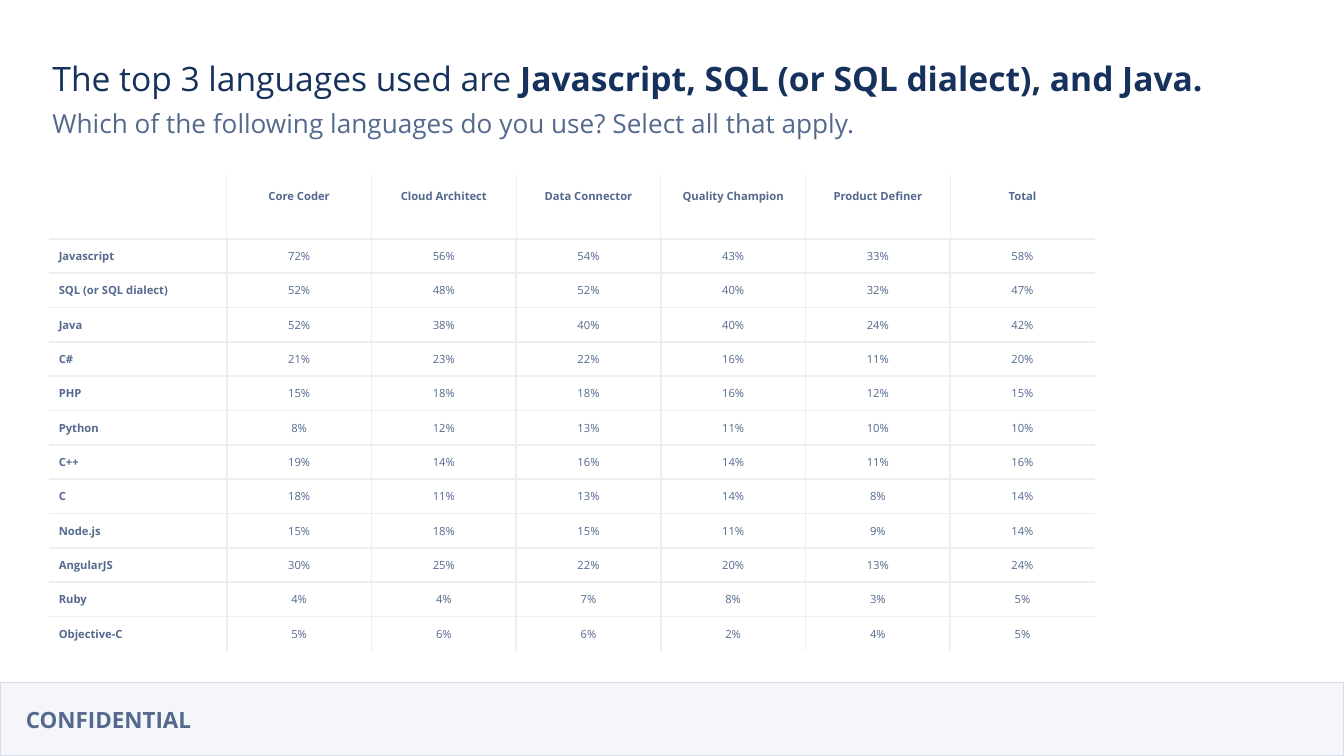
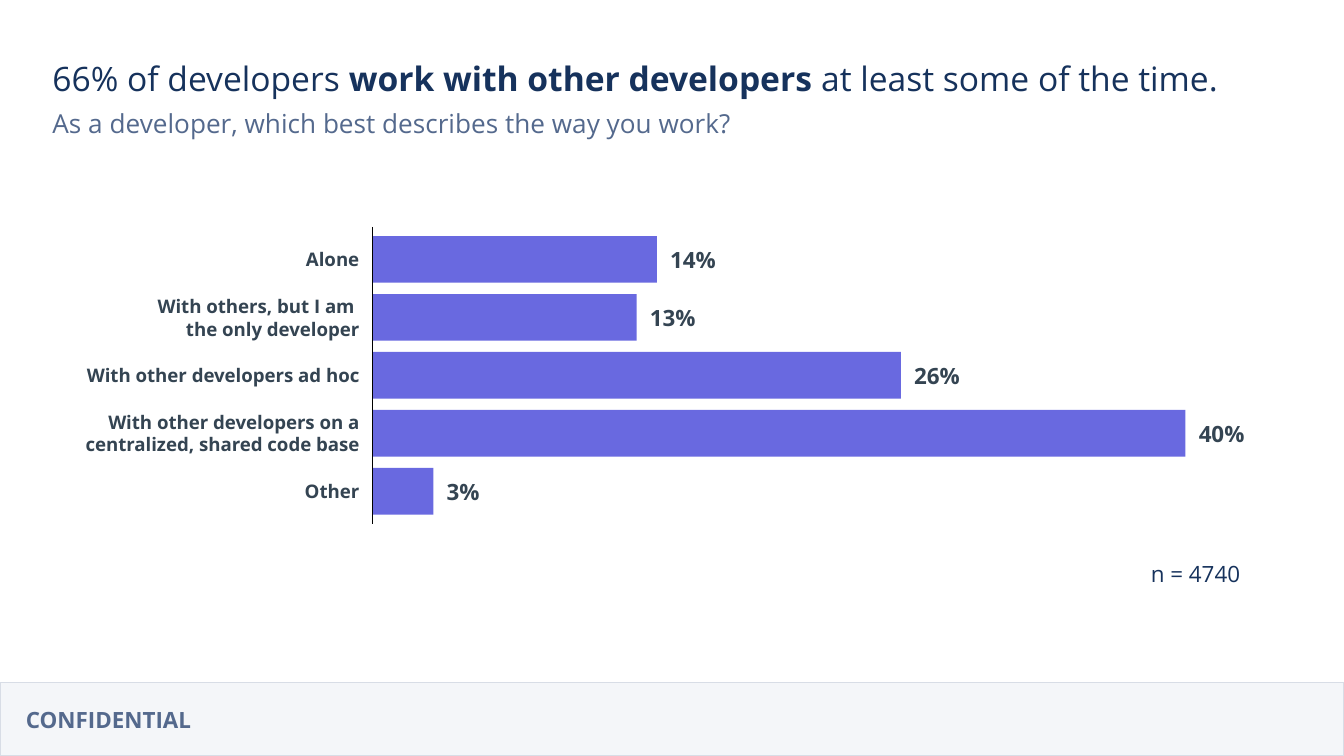
from lxml.etree import SubElement
from pptx import Presentation
from pptx.dml.color import RGBColor
from pptx.enum.shapes import MSO_CONNECTOR, MSO_SHAPE
from pptx.enum.text import MSO_ANCHOR, PP_ALIGN
from pptx.oxml.ns import qn
from pptx.util import Pt

NAVY, SLATE, INK = "16325C", "54698D", "344452"
VIOLET, BAND, EDGE, GRID, BLACK = "6969E0", "F4F6F9", "D8DDE6", "EEEEEE", "000000"
W, H = 720, 405
TOP, MIDDLE = MSO_ANCHOR.TOP, MSO_ANCHOR.MIDDLE
LEFT, CENTER, RIGHT = PP_ALIGN.LEFT, PP_ALIGN.CENTER, PP_ALIGN.RIGHT

ROLES = ["Core Coder", "Cloud Architect", "Data Connector",
         "Quality Champion", "Product Definer", "Total"]
LANGUAGES = [
    ("Javascript", 72, 56, 54, 43, 33, 58),
    ("SQL (or SQL dialect)", 52, 48, 52, 40, 32, 47),
    ("Java", 52, 38, 40, 40, 24, 42),
    ("C#", 21, 23, 22, 16, 11, 20),
    ("PHP", 15, 18, 18, 16, 12, 15),
    ("Python", 8, 12, 13, 11, 10, 10),
    ("C++", 19, 14, 16, 14, 11, 16),
    ("C", 18, 11, 13, 14, 8, 14),
    ("Node.js", 15, 18, 15, 11, 9, 14),
    ("AngularJS", 30, 25, 22, 20, 13, 24),
    ("Ruby", 4, 4, 7, 8, 3, 5),
    ("Objective-C", 5, 6, 6, 2, 4, 5),
]
WORK_STYLES = [
    ("Alone", 14),
    ("With others, but I am \nthe only developer", 13),
    ("With other developers ad hoc", 26),
    ("With other developers on a centralized, shared code base", 40),
    ("Other", 3),
]


def rgb(color):
    """Turn a hex string into a colour."""
    return RGBColor.from_string(color)


def write(tf, text, size=12, color=SLATE, bold=False, align=LEFT, spacing=None):
    """Fill a text frame with a string or a list of (text, bold) runs."""
    p = tf.paragraphs[0]
    p.alignment = align
    if spacing:
        p.line_spacing = spacing
    p.font.size = Pt(size)
    for part, heavy in [(text, bold)] if isinstance(text, str) else text:
        for i, line in enumerate(part.split("\n")):
            if i:
                p.add_line_break()
            r = p.add_run()
            r.text = line
            r.font.name = "Open Sans"
            r.font.size = Pt(size)
            r.font.bold = heavy
            r.font.color.rgb = rgb(color)


def border(cell, side, width):
    """Draw one side of a cell, or clear it when the width is zero."""
    ln = SubElement(cell._tc.get_or_add_tcPr(), qn(f"a:ln{side}"), w=str(Pt(width)))
    if width:
        SubElement(SubElement(ln, qn("a:solidFill")), qn("a:srgbClr"), val=GRID)
    else:
        SubElement(ln, qn("a:noFill"))


class Deck:
    """Holds the presentation style and the current slide."""

    def __init__(self):
        """Start an empty presentation."""
        self.prs = Presentation()
        self.prs.slide_width, self.prs.slide_height = Pt(W), Pt(H)

    def slide(self, title, question, width=675):
        """Add a slide with its footer band, title and question."""
        self.s = self.prs.slides.add_slide(self.prs.slide_layouts[6])
        self.s.background.fill.solid()
        self.s.background.fill.fore_color.rgb = rgb("FFFFFF")
        self.rect(0, 365.5, W, 39.5, BAND, EDGE)
        self.text(6.75, 370.6, 129, 29.5, "CONFIDENTIAL", anchor=MIDDLE, bold=True)
        self.text(21, 20.6, 675 if width is None else width, 40, title,
                  size=18, color=NAVY, spacing=1.15)
        self.text(21, 47.8, 644, 43, question, size=14, spacing=1.15)

    def text(self, x, y, w, h, text, anchor=TOP, **style):
        """Add a text box."""
        tf = self.s.shapes.add_textbox(Pt(x), Pt(y), Pt(w), Pt(h)).text_frame
        tf.word_wrap = True
        tf.vertical_anchor = anchor
        tf.margin_left = tf.margin_right = tf.margin_top = tf.margin_bottom = Pt(7.2)
        write(tf, text, **style)

    def rect(self, x, y, w, h, fill, line=None):
        """Add a rectangle."""
        sp = self.s.shapes.add_shape(MSO_SHAPE.RECTANGLE, Pt(x), Pt(y), Pt(w), Pt(h))
        sp.shadow.inherit = False
        sp.fill.solid()
        sp.fill.fore_color.rgb = rgb(fill)
        if line:
            sp.line.color.rgb = rgb(line)
            sp.line.width = Pt(0.75)
        else:
            sp.line.fill.background()

    def line(self, x1, y1, x2, y2, color):
        """Add a straight line."""
        ln = self.s.shapes.add_connector(MSO_CONNECTOR.STRAIGHT, Pt(x1), Pt(y1), Pt(x2), Pt(y2))
        ln.line.color.rgb = rgb(color)
        ln.line.width = Pt(0.75)
        SubElement(ln._element.spPr, qn("a:effectLst"))

    def table(self, x, y, rows, widths, heights):
        """Add a table ruled on the inside, with bold headings."""
        m, n = len(rows), len(widths)
        table = self.s.shapes.add_table(
            m, n, Pt(x), Pt(y), Pt(sum(widths)), Pt(sum(heights))).table
        table.first_row = table.horz_banding = False
        for col, width in zip(table.columns, widths):
            col.width = Pt(width)
        for row, height in zip(table.rows, heights):
            row.height = Pt(height)
        for i, row in enumerate(rows):
            for j, text in enumerate(row):
                cell = table.cell(i, j)
                margin = 5 if i or not text else 7.2
                cell.margin_left = cell.margin_right = Pt(margin)
                cell.margin_top = cell.margin_bottom = Pt(margin)
                cell.vertical_anchor = MIDDLE if i else TOP
                rule = 1 if i else 0.75
                border(cell, "L", rule if j else 0)
                border(cell, "R", rule if j < n - 1 else 0)
                border(cell, "T", 1 if i else 0)
                border(cell, "B", 1 if i < m - 1 else 0)
                cell.fill.background()
                write(cell.text_frame, text, size=6, bold=i == 0 or j == 0,
                      align=CENTER if j else LEFT)

    def bars(self, x, y, items, step, height, unit):
        """Add labelled horizontal bars along a vertical axis."""
        for i, (label, value) in enumerate(items):
            top, length = y + i * step, value * unit
            self.rect(x, top, length, height, VIOLET)
            self.text(x + length, top, 73.5, height, f"{value}%",
                      anchor=MIDDLE, color=INK, bold=True)
            self.text(x - 167.5, top, 167.5, height, label, anchor=MIDDLE,
                      size=10, color=INK, bold=True, align=RIGHT)
        self.line(x, y - 5, x, y + len(items) * step - 1, BLACK)


def main():
    """Build both slides and save them."""
    d = Deck()
    d.slide([("The top 3 languages used are", False),
             (" Javascript, SQL (or SQL dialect), and Java.", True)],
            "Which of the following languages do you use? Select all that apply.")
    rows = [["", *ROLES]]
    rows += [[name, *(f"{v}%" for v in values)] for name, *values in LANGUAGES]
    d.table(26.5, 94, rows, [95] + [77.5] * len(ROLES), [34] + [18.4] * len(LANGUAGES))

    d.slide([("66% of developers ", False), ("work with other developers", True),
             (" at least some of the time.", False)],
            "As a developer, which best describes the way you work?", width=699)
    d.bars(199.5, 126.5, WORK_STYLES, step=31.05, height=25, unit=10.89)
    d.text(601, 291, 70.5, 25, "n = 4740", color=NAVY, align=RIGHT, spacing=1.15)
    d.prs.save("out.pptx")


if __name__ == "__main__":
    main()
